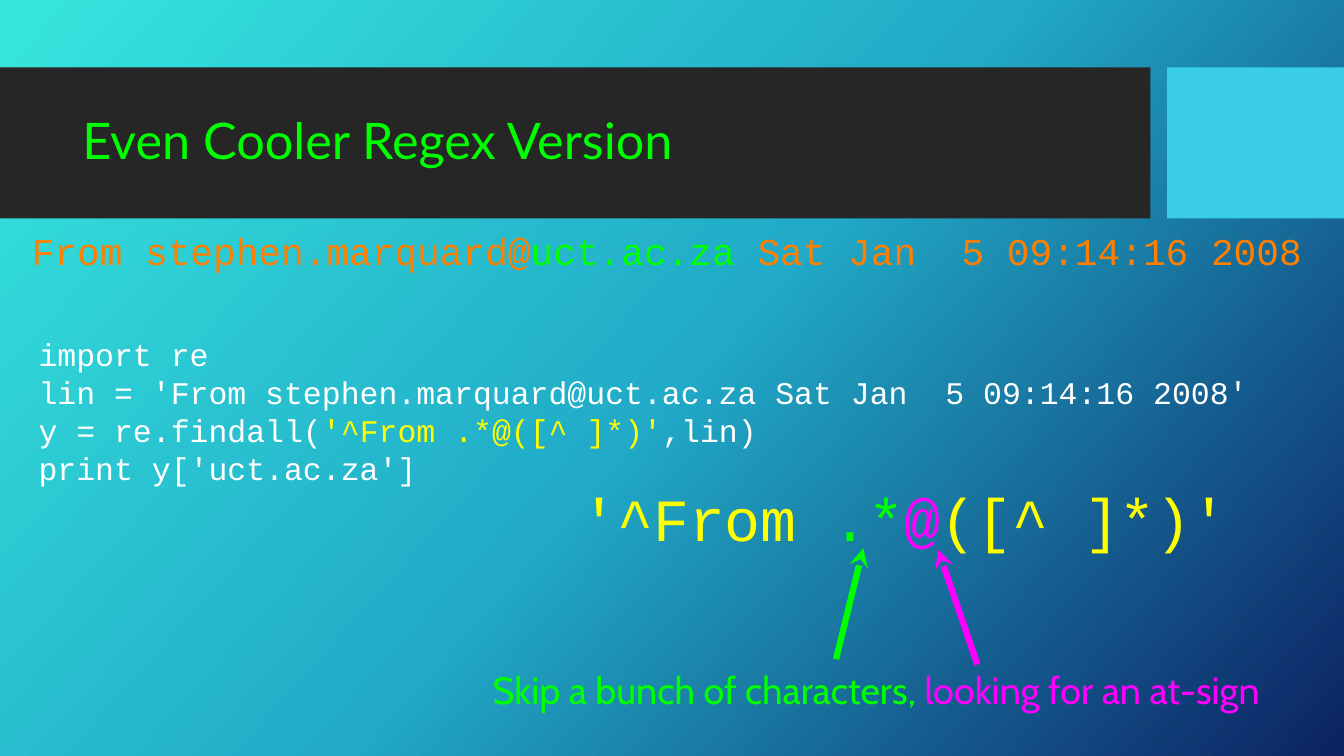
from lxml import etree
from pptx import Presentation
from pptx.dml.color import RGBColor
from pptx.enum import shapes, text
from pptx.oxml.ns import qn
from pptx.util import Inches, Pt

GREEN, ORANGE, WHITE = "00FF00", "FF7F00", "FFFFFF"
YELLOW, MAGENTA = "FFFF00", "FF00FF"
CODE = "Courier New"

# Content
BACKDROP = [(0, "36E6DD"), (50, "21ABC8"), (100, "0C2263")]
BANDS = [(0, 15.22, "262626"), (15.44, 2.34, "39CDE7")]  # left, width, colour

TITLE = [[("Even Cooler Regex Version", GREEN)]]
MAIL_LINE = [[("From stephen.marquard@", ORANGE), ("uct.ac.za", GREEN),
              (" Sat Jan  5 09:14:16 2008", ORANGE)]]
PROGRAM = [
    [("import re ", WHITE)],
    [("lin = 'From stephen.marquard@uct.ac.za Sat Jan  5 09:14:16 2008'", WHITE)],
    [("y = re.findall(", WHITE), ("'^From .*@([^ ]*)'", YELLOW), (",lin)", WHITE)],
    [("print y['uct.ac.za']", WHITE)],
]
PATTERN = [[("'^From ", YELLOW), (".*", GREEN), ("@", MAGENTA), ("([^ ]*)'", YELLOW)]]
EXPLANATION = [[("Skip a bunch of characters, ", GREEN),
                ("looking for an at-sign", MAGENTA)]]

# Pattern end, explanation end, colour
POINTERS = [((11.42, 7.25), (11.06, 8.72), GREEN),
            ((12.41, 7.27), (12.93, 8.79), MAGENTA)]


def rgb(value):
    return RGBColor.from_string(value)


def inches(*values):
    return [Inches(v) for v in values]


def add_text(box, paragraphs, font, size, inset=0, wrap=True, align=None, spacing=None):
    frame = slide.shapes.add_textbox(*inches(*box)).text_frame
    frame.word_wrap = wrap
    if not wrap:
        frame.auto_size = text.MSO_AUTO_SIZE.SHAPE_TO_FIT_TEXT
    frame.vertical_anchor = text.MSO_ANCHOR.MIDDLE
    frame.margin_left = frame.margin_right = Inches(inset)
    frame.margin_top = frame.margin_bottom = Inches(inset / 2)
    for i, runs in enumerate(paragraphs):
        paragraph = frame.add_paragraph() if i else frame.paragraphs[0]
        paragraph.alignment = align
        paragraph.line_spacing = spacing
        for words, colour in runs:
            run = paragraph.add_run()
            run.text = words
            run.font.name, run.font.size = font, Pt(size)
            run.font.color.rgb = rgb(colour)


prs = Presentation()
prs.slide_width, prs.slide_height = inches(17.78, 10)
slide = prs.slides.add_slide(prs.slide_layouts[6])

# Gradient background, running to the lower right
fill = slide.background.fill
fill.gradient()
fill.gradient_angle = 360 - 42
stops = next(slide.background._cSld.iter(qn("a:gsLst")))
for stop in list(stops):
    stops.remove(stop)
for percent, colour in BACKDROP:
    stop = etree.SubElement(stops, qn("a:gs"), pos=str(percent * 1000))
    etree.SubElement(stop, qn("a:srgbClr"), val=colour)

# Title band and accent block
for left, width, colour in BANDS:
    band = slide.shapes.add_shape(shapes.MSO_SHAPE.RECTANGLE,
                                  *inches(left, 0.89, width, 2))
    band.shadow.inherit = False
    band.fill.solid()
    band.fill.fore_color.rgb = rgb(colour)
    band.line.fill.background()

# Texts
add_text((0.99, 1.1, 14.02, 1.58), TITLE, "Lato", 48, inset=0.1, spacing=0.9)
add_text((0.42, 2.94, 16.93, 0.74), MAIL_LINE, CODE, 36, wrap=False)
add_text((0.51, 4.2, 17.24, 2.47), PROGRAM, CODE, 30)
add_text((7.69, 6.37, 8.64, 0.96), PATTERN, CODE, 57, wrap=False)
add_text((5.14, 8.78, 12.9, 0.68), EXPLANATION, "Cabin", 36,
         align=text.PP_ALIGN.CENTER)

# Arrows from the explanation up to the pattern
for tip, tail, colour in POINTERS:
    arrow = slide.shapes.add_connector(shapes.MSO_CONNECTOR.STRAIGHT,
                                       *inches(*tip, *tail))
    arrow.line.width = Pt(6)
    arrow.line.color.rgb = rgb(colour)
    etree.SubElement(arrow.line._get_or_add_ln(), qn("a:headEnd"), type="stealth")
    etree.SubElement(arrow._element.spPr, qn("a:effectLst"))

prs.save("out.pptx")
